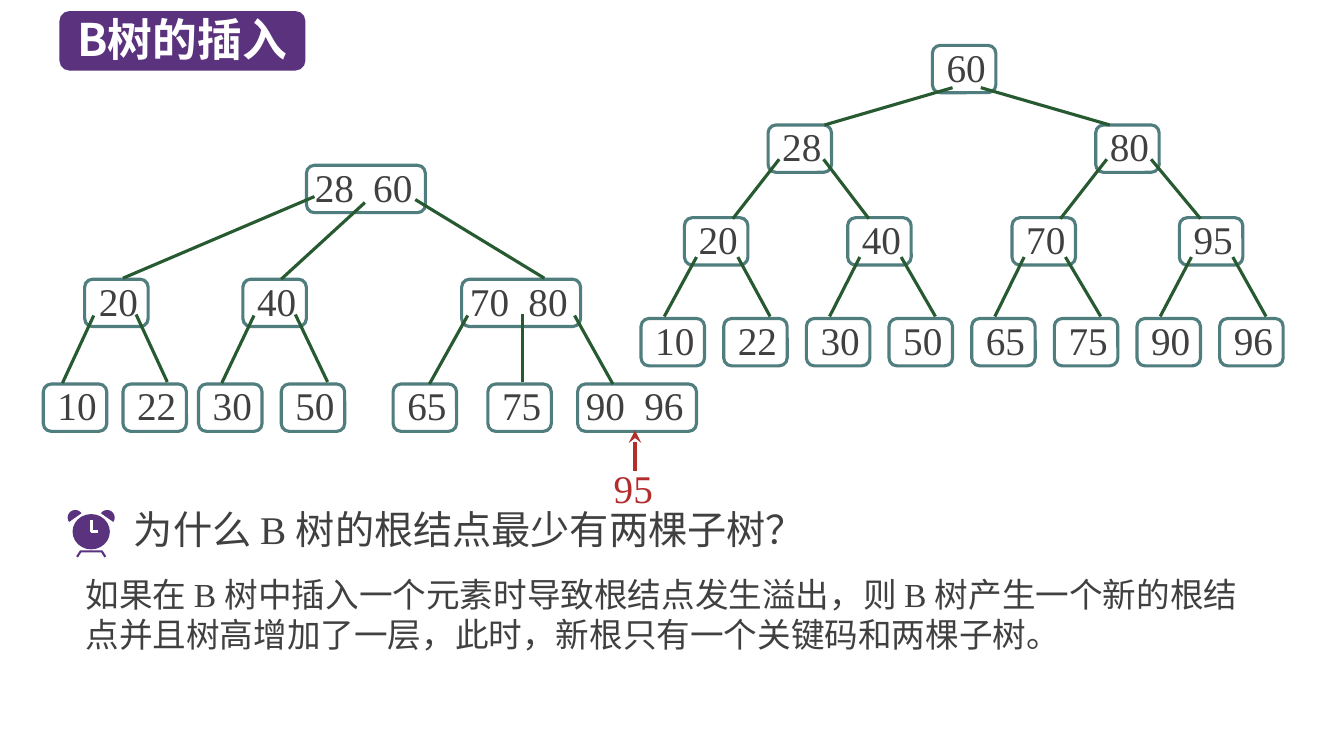
from math import cos, radians, sin

from lxml import etree
from pptx import Presentation
from pptx.dml.color import RGBColor
from pptx.enum.shapes import MSO_CONNECTOR, MSO_SHAPE
from pptx.enum.text import MSO_ANCHOR, PP_ALIGN
from pptx.oxml.ns import qn
from pptx.util import Inches, Pt

PURPLE = RGBColor(0x5A, 0x32, 0x7D)
TEAL = RGBColor(0x50, 0x7D, 0x7D)
GREEN = RGBColor(0x28, 0x5A, 0x32)
RED = RGBColor(0xB4, 0x2D, 0x2D)
GREY = RGBColor(0x40, 0x40, 0x40)
WHITE = RGBColor(0xFF, 0xFF, 0xFF)

ROUNDED = MSO_SHAPE.ROUNDED_RECTANGLE
OVAL = MSO_SHAPE.OVAL
STRAIGHT = MSO_CONNECTOR.STRAIGHT
CENTER, LEFT = PP_ALIGN.CENTER, PP_ALIGN.LEFT
MIDDLE, TOP = MSO_ANCHOR.MIDDLE, MSO_ANCHOR.TOP

GRID_STEP = Inches(0.1)
COLUMNS, ROWS = 133.33, 75
SERIF, SANS = "Times New Roman", "Noto Sans CJK SC"
NODE_HEIGHT = 4.7
NODE_WIDTHS = {1: 6.3, 2: 11.8}
SECOND_KEY = 5.8
CLOCK_AXIS = 9.05

TITLE = "B树的插入"
QUESTION = "为什么 B 树的根结点最少有两棵子树？"
ANSWER = ("如果在 B 树中插入一个元素时导致根结点发生溢出，则 B 树产生一个新的根结点"
          "并且树高增加了一层，此时，新根只有一个关键码和两棵子树。")

BEFORE_NODES = [
    (16.4, [(30.4, (28, 60))]),
    (27.7, [(8.4, (20,)), (24.1, (40,)), (45.8, (70, 80))]),
    (38.1, [(4.3, (10,)), (12.2, (22,)), (19.7, (30,)), (27.9, (50,)),
            (39, (65,)), (48.4, (75,)), (57.3, (90, 96))]),
]
BEFORE_EDGES = [
    (31.2, 19.5, 12.2, 27.6), (36.2, 20.1, 27.9, 27.7), (41.2, 19.8, 54, 27.6),
    (9.3, 31.3, 6.2, 38), (13.5, 31.2, 16.6, 37.9),
    (25.2, 31.3, 22, 38), (29.3, 31.2, 32.5, 37.9),
    (46.4, 31.3, 42.6, 38.1), (51.8, 31.2, 51.8, 37.9), (57, 31.3, 60.8, 38.1),
]
AFTER_LEVELS = [
    (4.5, [92.5], [60]),
    (12.4, [76.2, 108.7], [28, 80]),
    (21.6, [67.9, 84.1, 100.4, 117], [20, 40, 70, 95]),
    (31.6, [63.6 + 8.2 * leaf for leaf in range(8)],
     [10, 22, 30, 50, 65, 75, 90, 96]),
]
AFTER_JOINS = [
    (8.7, 12.4, [(2, 5.6), (4.8, 1.4)]),
    (15.8, 21.7, [(1.1, 4.8), (5.5, 2.1)]),
    (25.5, 31.4, [(1.2, 2.3), (5.3, 4.6)]),
]


def grid(*steps):
    """Turn columns or rows into slide lengths."""
    return [round(step * GRID_STEP) for step in steps]


def write(frame, text, size, color, face=SERIF, bold=False, align=LEFT, pitch=None):
    """Put one styled paragraph in a text frame."""
    frame.word_wrap = True
    paragraph = frame.paragraphs[0]
    paragraph.text = text
    paragraph.alignment = align
    if pitch:
        paragraph.line_spacing = Pt(pitch)
    font = paragraph.font
    font.size, font.bold, font.name = Pt(size), bold, face
    font.color.rgb = color
    defaults = paragraph._p.pPr.find(qn("a:defRPr"))
    etree.SubElement(defaults, qn("a:ea"), typeface=SANS)
    return paragraph


def add_label(slide, place, text, size, color, **style):
    """Add a text box."""
    frame = slide.shapes.add_textbox(*grid(*place)).text_frame
    frame.vertical_anchor = TOP
    write(frame, text, size, color, **style)


def add_solid(slide, kind, place, color):
    """Add a plain filled preset shape."""
    solid = slide.shapes.add_shape(kind, *grid(*place))
    solid.shadow.inherit = False
    solid.fill.solid()
    solid.fill.fore_color.rgb = color
    solid.line.fill.background()


def set_key_tab(paragraph):
    """Align the second key of a node on a tab stop."""
    properties = paragraph._p.pPr
    stops = etree.Element(qn("a:tabLst"))
    position = grid(SECOND_KEY)[0]
    etree.SubElement(stops, qn("a:tab"), pos=str(position), algn="l")
    properties.find(qn("a:defRPr")).addprevious(stops)


def add_node(slide, left, top, keys):
    """Add a tree node holding one or two keys."""
    node = slide.shapes.add_shape(
        ROUNDED, *grid(left, top, NODE_WIDTHS[len(keys)], NODE_HEIGHT))
    node.shadow.inherit = False
    node.fill.background()
    node.line.color.rgb = TEAL
    node.line.width = Pt(2.25)
    frame = node.text_frame
    frame.margin_left, frame.margin_right = grid(0.6, 0.2)
    frame.margin_top, frame.margin_bottom = grid(0.1, 0.1)
    frame.vertical_anchor = MIDDLE
    paragraph = write(frame, "\t".join(map(str, keys)), 28, GREY, pitch=30,
                      align=CENTER if len(keys) == 1 else LEFT)
    if len(keys) > 1:
        set_key_tab(paragraph)


def add_edge(slide, ends, color=GREEN, width=2.25, arrow=False):
    """Add a straight line, with an arrowhead if asked."""
    edge = slide.shapes.add_connector(STRAIGHT, *grid(*ends))
    edge.line.color.rgb = color
    edge.line.width = Pt(width)
    if arrow:
        etree.SubElement(edge.line._get_or_add_ln(), qn("a:tailEnd"), type="stealth")
    etree.SubElement(edge._element.spPr, qn("a:effectLst"))


def add_outline(slide, points, color, width=None):
    """Add a filled outline, or an open stroke when a width is given."""
    start, *others = [grid(*point) for point in points]
    builder = slide.shapes.build_freeform(*start)
    builder.add_line_segments(others, close=width is None)
    outline = builder.convert_to_shape()
    outline.shadow.inherit = False
    if width is None:
        outline.fill.solid()
        outline.fill.fore_color.rgb = color
        outline.line.fill.background()
    else:
        outline.fill.background()
        outline.line.color.rgb = color
        outline.line.width = Pt(width)


def add_clock(slide):
    """Draw the alarm clock beside the question."""
    bell = [(7.47 + 0.75 * cos(radians(turn)), 51.35 + 0.75 * sin(radians(turn)))
            for turn in range(145, 326, 10)]
    add_outline(slide, bell, PURPLE)
    add_outline(slide, [(2 * CLOCK_AXIS - x, y) for x, y in bell], PURPLE)
    add_solid(slide, OVAL, (7.2, 51, 3.7, 3.5), PURPLE)
    add_outline(slide, [(9.05, 51.6), (9.05, 52.75), (9.75, 52.75)], WHITE, 2.25)
    add_outline(slide, [(7.65, 55.25), (8, 54.7), (10.1, 54.7), (10.45, 55.25)],
                PURPLE, 1.5)


def add_tree_before(slide):
    """Draw the tree that receives the new key."""
    for top, nodes in BEFORE_NODES:
        for left, keys in nodes:
            add_node(slide, left, top, keys)
    for ends in BEFORE_EDGES:
        add_edge(slide, ends)
    add_label(slide, (59.9, 45.6, 6.5, 5.1), "95", 28, RED)
    add_edge(slide, (63, 46.7, 63, 42.7), RED, 3, arrow=True)


def add_tree_after(slide):
    """Draw the binary-shaped tree after the root has split."""
    for top, lefts, keys in AFTER_LEVELS:
        for left, key in zip(lefts, keys):
            add_node(slide, left, top, (key,))
    for upper, lower, (start, end, offsets) in zip(
            AFTER_LEVELS, AFTER_LEVELS[1:], AFTER_JOINS):
        for index, child in enumerate(lower[1]):
            parent = upper[1][index // 2]
            from_parent, from_child = offsets[index % 2]
            add_edge(slide, (parent + from_parent, start, child + from_child, end))


def main():
    """Build the slide and save it."""
    deck = Presentation()
    deck.slide_width, deck.slide_height = grid(COLUMNS, ROWS)
    slide = deck.slides.add_slide(deck.slide_layouts[6])
    add_solid(slide, ROUNDED, (5.9, 1.1, 24.4, 5.9), PURPLE)
    add_label(slide, (5.1, 0.7, 26, 6.4), TITLE, 32, WHITE,
              face=SANS, bold=True, align=CENTER)
    add_label(slide, (7.5, 56.5, 118.3, 9.1), ANSWER, 24, GREY, pitch=28.5)
    add_clock(slide)
    add_label(slide, (12.3, 49.7, 114.5, 5.7), QUESTION, 28, GREY, pitch=33)
    add_tree_before(slide)
    add_tree_after(slide)
    deck.save("out.pptx")


if __name__ == "__main__":
    main()
